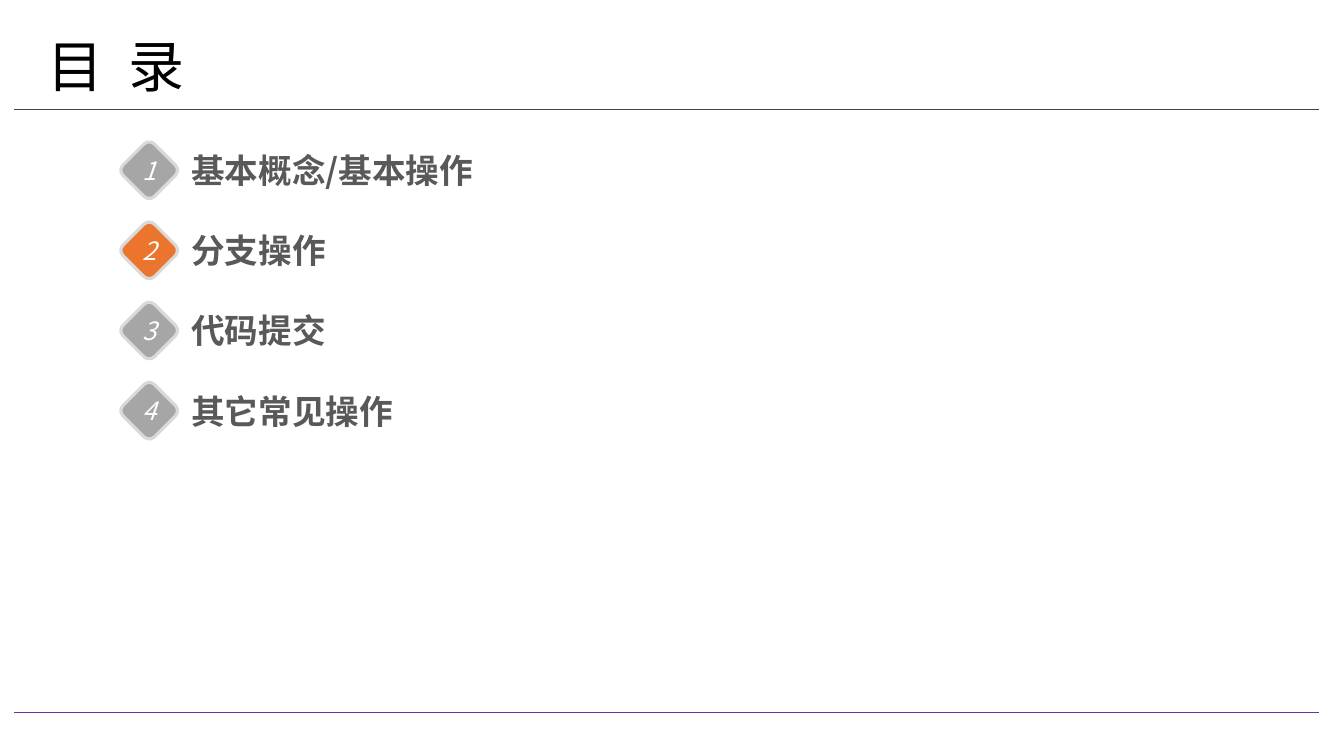
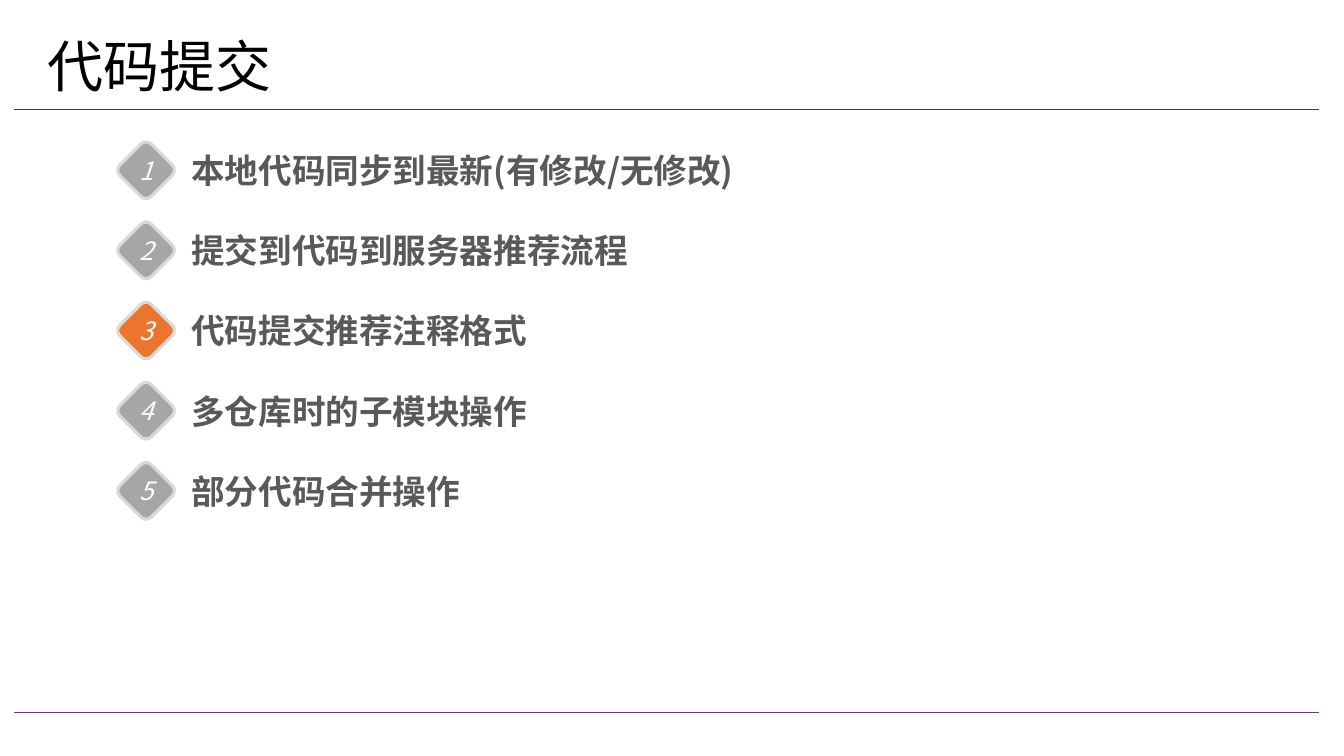
from lxml import etree
from pptx import Presentation
from pptx import util as u
from pptx.dml.color import RGBColor
from pptx.enum import shapes, text
from pptx.oxml.ns import qn

FONT = "Noto Sans CJK SC"
HUES = {
    "title": "000000",
    "label": "595959",
    "digit": "FFFFFF",
    "plain": "A6A6A6",
    "mark": "EC752D",
    "edge": "D9D9D9",
    "rule": "404040",
    "foot": "7030A0",
}
PAGES = [
    {
        "title": "目 录",
        "track": 450,
        "left": 3.2,
        "mark": 2,
        "width": 9.65,
        "rows": ["基本概念/基本操作", "分支操作", "代码提交", "其它常见操作"],
    },
    {
        "title": "代码提交",
        "track": 0,
        "left": 3.12,
        "mark": 3,
        "width": 15.52,
        "rows": [
            "本地代码同步到最新(有修改/无修改)",
            "提交到代码到服务器推荐流程",
            "代码提交推荐注释格式",
            "多仓库时的子模块操作",
            "部分代码合并操作",
        ],
    },
]
RULES = [(2.77, "rule", 0.75), (17.96, "foot", 1)]
EDGE, SPAN = 0.36, 32.89
TOP, STEP = 4.29, 2.02
SIDE = 1.12
LABEL = 4.57
TALL = 1.27
DIGIT = (0.89, 1.02)


def hue(name):
    return RGBColor.from_string(HUES[name])


def style(frame, size, color, bold=False, italic=False):
    for run in frame.paragraphs[0].runs:
        font = run.font
        font.size, font.bold, font.italic = u.Pt(size), bold, italic
        font.color.rgb = hue(color)
        font.name = FONT
        etree.SubElement(run._r.get_or_add_rPr(), qn("a:ea"), typeface=FONT)


def add_text(group, words, left, top, width, height):
    box = group.shapes.add_textbox(u.Cm(left), u.Cm(top), u.Cm(width), u.Cm(height))
    frame = box.text_frame
    frame.text = words
    frame.vertical_anchor = text.MSO_ANCHOR.MIDDLE
    return frame


def add_row(slide, page, index, words):
    group = slide.shapes.add_group_shape()
    mid = TOP + index * STEP
    label = add_text(group, words, LABEL, mid - TALL / 2, page["width"], TALL)
    label.word_wrap = True
    style(label, 24, "label", bold=True)

    badge = group.shapes.add_shape(
        shapes.MSO_SHAPE.ROUNDED_RECTANGLE,
        u.Cm(page["left"]), u.Cm(mid - SIDE / 2), u.Cm(SIDE), u.Cm(SIDE))
    badge.rotation = 45
    badge.shadow.inherit = False
    badge.fill.solid()
    badge.fill.fore_color.rgb = hue("mark" if index + 1 == page["mark"] else "plain")
    badge.line.color.rgb = hue("edge")
    badge.line.width = u.Pt(2.25)

    wide, high = DIGIT
    left = page["left"] + (SIDE - wide) / 2
    digit = add_text(group, str(index + 1), left, mid - high / 2, wide, high)
    digit.word_wrap = False
    digit.paragraphs[0].alignment = text.PP_ALIGN.CENTER
    style(digit, 18, "digit", italic=True)


def add_rules(slide, layout):
    for top, color, width in RULES:
        line = slide.shapes.add_connector(
            shapes.MSO_CONNECTOR.STRAIGHT,
            u.Cm(EDGE), u.Cm(top), u.Cm(EDGE + SPAN), u.Cm(top))
        line.line.color.rgb = hue(color)
        line.line.width = u.Pt(width)
        etree.SubElement(line._element.spPr, qn("a:effectLst"))
        layout.element.cSld.spTree.append(line._element)


def set_title(slide, page):
    frame = slide.shapes.title.text_frame
    frame.text = page["title"]
    frame.vertical_anchor = text.MSO_ANCHOR.MIDDLE
    frame.auto_size = text.MSO_AUTO_SIZE.NONE
    para = frame.paragraphs[0]
    para.alignment = text.PP_ALIGN.LEFT
    para.line_spacing = 0.9
    style(frame, 40, "title")
    if page["track"]:
        para.runs[0]._r.get_or_add_rPr().set("spc", str(page["track"]))


def main():
    deck = Presentation()
    deck.slide_width, deck.slide_height = u.Cm(33.87), u.Cm(19.05)
    layout = deck.slide_layouts[5]
    head = layout.placeholders[0]
    head.left, head.top = u.Cm(0.94), u.Cm(0.89)
    head.width, head.height = u.Cm(28.65), u.Cm(1.7)
    for number, page in enumerate(PAGES):
        slide = deck.slides.add_slide(layout)
        if number == 0:
            add_rules(slide, layout)
        set_title(slide, page)
        for index, words in enumerate(page["rows"]):
            add_row(slide, page, index, words)
    deck.save("out.pptx")


if __name__ == "__main__":
    main()
